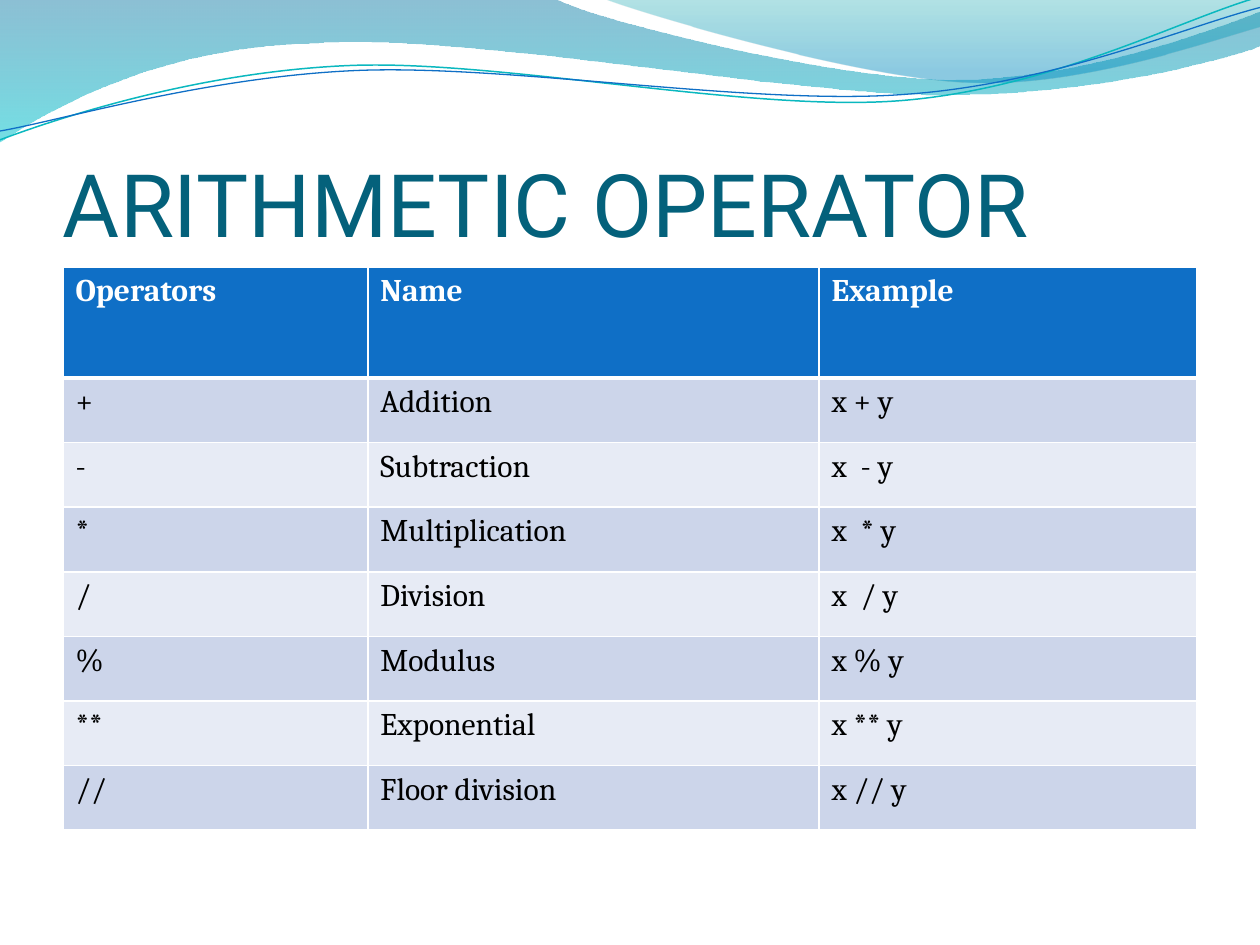
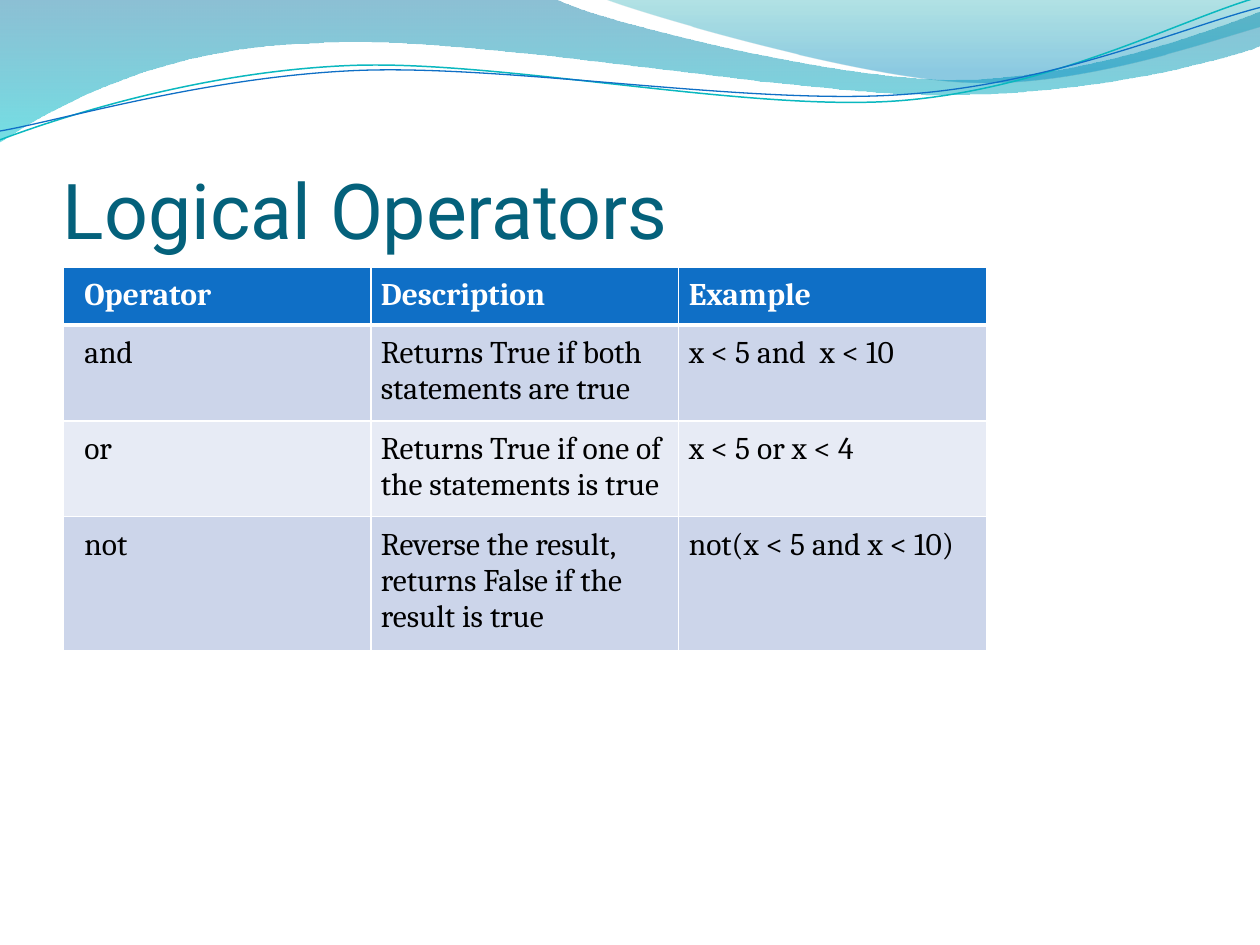
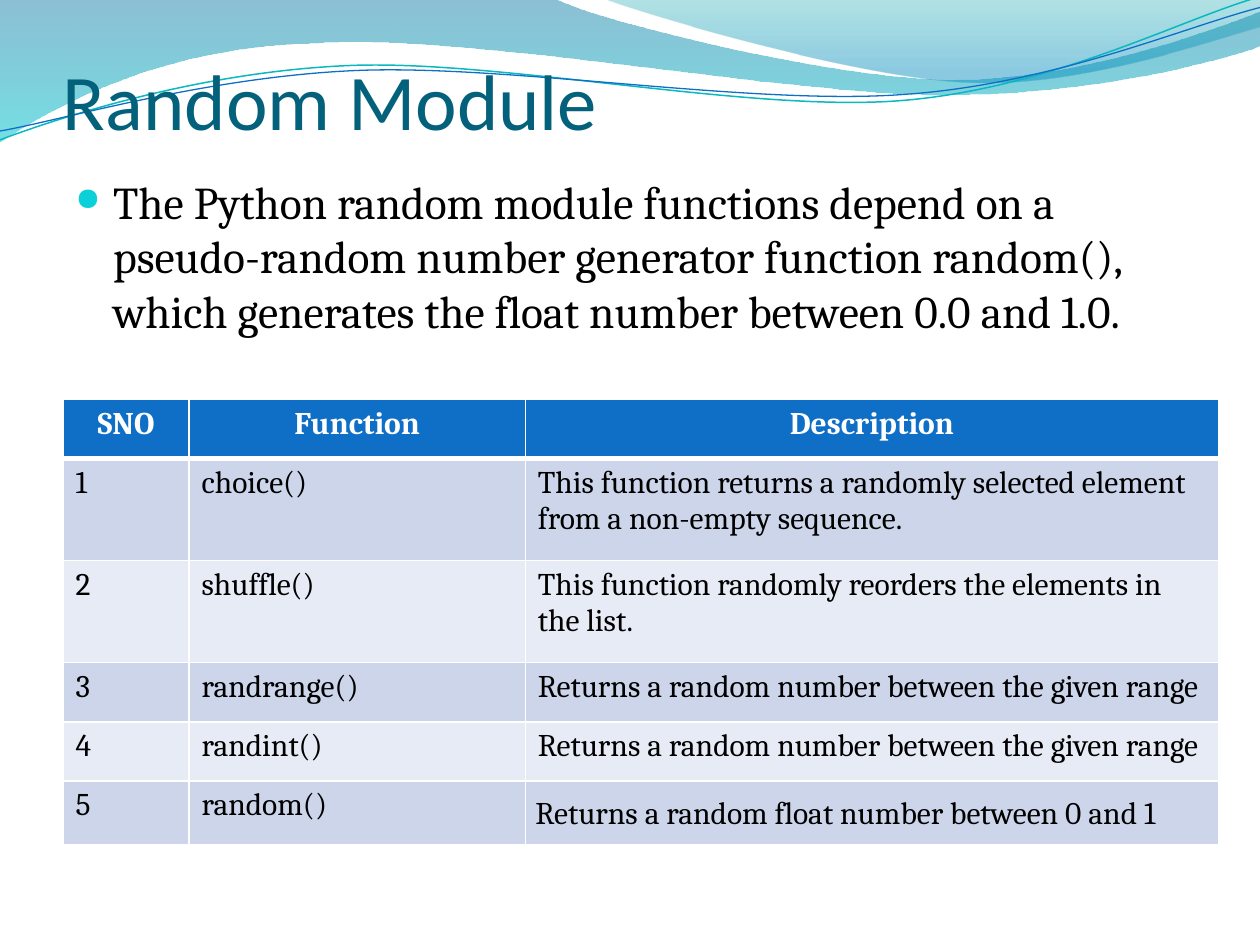
from dataclasses import dataclass
from math import cos, radians, sin

from lxml import etree
from pptx import Presentation
from pptx import util as u
from pptx.dml.color import RGBColor
from pptx.enum import text
from pptx.oxml.ns import qn

WHITE, BLACK, BLUE, TEAL = "FFFFFF", "000000", "0F6FC6", "04617B"
AQUA, BULLET = "0AB8BF", "0BD0D9"
BANDS = ("CCD5EA", "E7EBF5")
BODY_FONT = "Cambria"
LINE_TILT = 2.7


@dataclass(frozen=True)
class Stop:
    """A gradient stop with its opacity in percent."""
    position: float
    color: str
    opacity: int


@dataclass(frozen=True)
class Wave:
    """An outline of corner points (2 numbers) and Bézier curves (6 numbers)."""
    start: tuple
    segments: tuple
    stops: tuple = ()
    line: str = ""
    weight: float = 0
    center: tuple = (0, 0)
    tilt: float = 0


@dataclass(frozen=True)
class Title:
    """A slide title standing on the bottom of its box."""
    words: str
    size: int
    font: str = "Roboto"
    top: float = 0.77
    height: float = 1.25


@dataclass(frozen=True)
class Grid:
    """A banded table whose first row is the header."""
    top: float
    height: float
    columns: tuple
    row_heights: tuple
    rows: tuple
    margins: tuple = (0.1, 0.05, 0.1, 0.05)
    first_margin: float = 0.1
    header_align: text.PP_ALIGN = text.PP_ALIGN.LEFT


WAVES = (
    Wave((0, 0), (
        (4.4, -0.01),
        (4.76, 0.17, 6.64, 0.63, 7.58, 0.63),
        (8.53, 0.63, 9.58, 0.26, 10, 0.09),
        (10.01, 0.36),
        (9.83, 0.44, 8.7, 0.76, 7.46, 0.75),
        (6.22, 0.75, 3.82, 0.28, 2.57, 0.34),
        (1.29, 0.36, 0.46, 0.83, -0.01, 1.13),
    ), stops=(Stop(0, "0074A1", 45), Stop(1, "00C6CF", 55))),
    Wave((4.79, -0.01), (
        (5.09, 0.11, 6.82, 0.62, 7.69, 0.65),
        (8.56, 0.69, 9.61, 0.32, 10, 0.21),
        (10, 0),
    ), stops=(Stop(0, "00A1A9", 30), Stop(0.8, "008BBF", 45))),
    Wave((0, 1.11), (
        (0.48, 0.93, 1.58, 0.57, 2.77, 0.52),
        (3.95, 0.47, 5.93, 0.89, 7.13, 0.8),
        (8.33, 0.71, 9.38, 0.15, 9.98, -0.02),
    ), line=AQUA, weight=0.85, center=(4.99, 0.57), tilt=LINE_TILT),
    Wave((0, 1.04), (
        (0.47, 0.96, 1.64, 0.61, 2.83, 0.56),
        (4.03, 0.51, 5.97, 0.84, 7.17, 0.75),
        (8.36, 0.67, 9.41, 0.21, 10, 0.06),
    ), line=BLUE, weight=0.75, center=(5, 0.59), tilt=LINE_TILT),
)

ARITHMETIC = Grid(2.12, 4.47, (2.42, 3.58, 3), (0.88,) + ((4.47 - 0.88) / 7,) * 7, (
    ("Operators", "Name", "Example"),
    ("+", "Addition", "x + y"),
    ("-", "Subtraction", "x  - y"),
    ("*", "Multiplication", "x  * y"),
    ("/", "Division", "x  / y"),
    ("%", "Modulus", "x % y"),
    ("**", "Exponential", "x ** y"),
    ("//", "Floor division", "x // y"),
))

LOGICAL = Grid(2.12, 3.37, (7.33 / 3,) * 3, (0.41,) * 4, (
    ("Operator", "Description", "Example"),
    ("and", "Returns True if both statements are true", "x < 5 and  x < 10"),
    ("or", "Returns True if one of the statements is true", "x < 5 or x < 4"),
    ("not", "Reverse the result, returns False if the result is true",
     "not(x < 5 and x < 10)"),
), margins=(0.08,) * 4, first_margin=0.17)

RANDOM = Grid(3.17, 3.99, (1, 2.67, 5.5), (0.47, 0.81, 0.81, 0.47, 0.47, 0.47), (
    ("SNO", "Function", "Description"),
    ("1", "choice()",
     "This function returns a randomly selected element from a non-empty sequence."),
    ("2", "shuffle()", "This function randomly reorders the elements in the list."),
    ("3", "randrange()", "Returns a random number between the given range"),
    ("4", "randint()", "Returns a random number between the given range"),
    ("5", "random()", "Returns a random float number between 0 and 1"),
), header_align=text.PP_ALIGN.CENTER)

RANDOM_INTRO = (
    "The Python random module functions depend on a pseudo-random number generator "
    "function random(), which generates the float number between 0.0 and 1.0."
)


def rgb(color: str) -> RGBColor:
    """Turn a hex string into a colour."""
    return RGBColor.from_string(color)


def add_element(parent, tag: str, **attributes):
    """Append a DrawingML element and return it."""
    element = etree.SubElement(parent, qn(tag))
    for name, value in attributes.items():
        element.set(name, str(value))
    return element


def set_font(paragraph, name: str, size: float, color: str, bold: bool = False) -> None:
    """Set the font of a whole paragraph."""
    font = paragraph.font
    font.name, font.size, font.bold = name, u.Pt(size), bold
    font.color.rgb = rgb(color)


def set_margins(frame, margins: tuple) -> None:
    """Set left, top, right and bottom margins in inches."""
    (frame.margin_left, frame.margin_top,
     frame.margin_right, frame.margin_bottom) = map(u.Inches, margins)


def turn(point: tuple, center: tuple, degrees: float) -> tuple:
    """Turn a point clockwise about a center and return it as lengths."""
    x, y = point[0] - center[0], point[1] - center[1]
    angle = radians(degrees)
    return (u.Inches(center[0] + x * cos(angle) - y * sin(angle)),
            u.Inches(center[1] + x * sin(angle) + y * cos(angle)))


def bend(shape, segments: tuple) -> None:
    """Join the straight lines of each curved segment into one Bézier curve."""
    lines = iter(list(shape.element.iter(qn("a:lnTo"))))
    for segment in segments:
        parts = [next(lines) for _ in segment[::2]]
        if len(parts) == 3:
            curve = etree.Element(qn("a:cubicBezTo"))
            parts[0].addprevious(curve)
            for part in parts:
                curve.append(part[0])
                part.getparent().remove(part)


def draw_wave(slide, wave: Wave) -> None:
    """Draw a gradient wave or a thin wavy line."""
    outline = [wave.start]
    for segment in wave.segments:
        outline += zip(segment[::2], segment[1::2])
    vertices = [turn(point, wave.center, wave.tilt) for point in outline]
    builder = slide.shapes.build_freeform(*vertices[0])
    builder.add_line_segments(vertices[1:], close=bool(wave.stops))
    shape = builder.convert_to_shape()
    bend(shape, wave.segments)
    shape.rotation = -wave.tilt
    shape.shadow.inherit = False
    if not wave.stops:
        shape.fill.background()
        shape.line.color.rgb = rgb(wave.line)
        shape.line.width = u.Pt(wave.weight)
        return
    shape.line.fill.background()
    shape.fill.gradient()
    shape.fill.gradient_angle = 270
    for target, stop in zip(shape.fill.gradient_stops, wave.stops):
        target.position = stop.position
        target.color.rgb = rgb(stop.color)
    for color, stop in zip(shape.element.iter(qn("a:srgbClr")), wave.stops):
        add_element(color, "a:alpha", val=stop.opacity * 1000)


def add_text(slide, words: str, top: float, height: float):
    """Add a wrapping text box of the content width."""
    box = slide.shapes.add_textbox(
        u.Inches(0.5), u.Inches(top), u.Inches(9), u.Inches(height))
    frame = box.text_frame
    frame.word_wrap = True
    frame.text = words
    return frame


def draw_title(slide, title: Title) -> None:
    """Draw the slide title."""
    frame = add_text(slide, title.words, title.top, title.height)
    frame.vertical_anchor = text.MSO_ANCHOR.BOTTOM
    set_margins(frame, (0, 0.05, 0, 0))
    set_font(frame.paragraphs[0], title.font, title.size, TEAL)


def draw_bullet(slide, words: str) -> None:
    """Draw the bulleted introduction."""
    paragraph = add_text(slide, words, 1.33, 5.58).paragraphs[0]
    properties = paragraph._p.get_or_add_pPr()
    properties.set("marL", str(u.Inches(0.3)))
    properties.set("indent", str(u.Inches(-0.3)))
    add_element(add_element(properties, "a:buClr"), "a:srgbClr", val=BULLET)
    add_element(properties, "a:buSzPct", val=70000)
    add_element(properties, "a:buChar", char="●")
    set_font(paragraph, BODY_FONT, 26, BLACK)


def set_borders(cell, row: int) -> None:
    """Give a cell white borders, thicker below the header."""
    properties = cell._tc.get_or_add_tcPr()
    weights = {"L": 1, "R": 1, "T": 3 if row == 1 else 1, "B": 3 if row == 0 else 1}
    for index, (side, weight) in enumerate(weights.items()):
        line = add_element(properties, f"a:ln{side}", w=u.Pt(weight))
        add_element(add_element(line, "a:solidFill"), "a:srgbClr", val=WHITE)
        properties.insert(index, line)


def draw_grid(slide, grid: Grid):
    """Draw a table and return it."""
    frame = slide.shapes.add_table(
        len(grid.rows), len(grid.columns), u.Inches(0.5), u.Inches(grid.top),
        u.Inches(sum(grid.columns)), u.Inches(grid.height))
    table = frame.table
    for column, width in zip(table.columns, grid.columns):
        column.width = u.Inches(width)
    for row, (height, values) in enumerate(zip(grid.row_heights, grid.rows)):
        table.rows[row].height = u.Inches(height)
        header = row == 0
        for column, value in enumerate(values):
            cell = table.cell(row, column)
            cell.text = value
            left = grid.margins[0] if column else grid.first_margin
            set_margins(cell, (left, *grid.margins[1:]))
            cell.fill.solid()
            cell.fill.fore_color.rgb = rgb(BLUE if header else BANDS[(row - 1) % 2])
            set_borders(cell, row)
            paragraph = cell.text_frame.paragraphs[0]
            if header:
                paragraph.alignment = grid.header_align
            set_font(paragraph, BODY_FONT, 18, WHITE if header else BLACK, header)
    frame.height = u.Inches(grid.height)
    return table


def add_slide(presentation, title: Title):
    """Add a slide with the waves and a title."""
    slide = presentation.slides.add_slide(presentation.slide_layouts[6])
    for wave in WAVES:
        draw_wave(slide, wave)
    draw_title(slide, title)
    return slide


def main() -> None:
    """Build the three slides."""
    presentation = Presentation()
    presentation.slide_width, presentation.slide_height = u.Inches(10), u.Inches(7.5)

    draw_grid(add_slide(presentation, Title("ARITHMETIC OPERATOR", 50)), ARITHMETIC)
    draw_grid(add_slide(presentation, Title("Logical Operators", 44)), LOGICAL)

    slide = add_slide(presentation, Title("Random Module", 45, "Calibri", 0.33, 0.83))
    draw_bullet(slide, RANDOM_INTRO)
    last_cell = draw_grid(slide, RANDOM).cell(5, 2)
    set_margins(last_cell, (0.08,) * 4)
    last_cell.text_frame.paragraphs[0].line_spacing = 1.15

    presentation.save("out.pptx")


if __name__ == "__main__":
    main()
